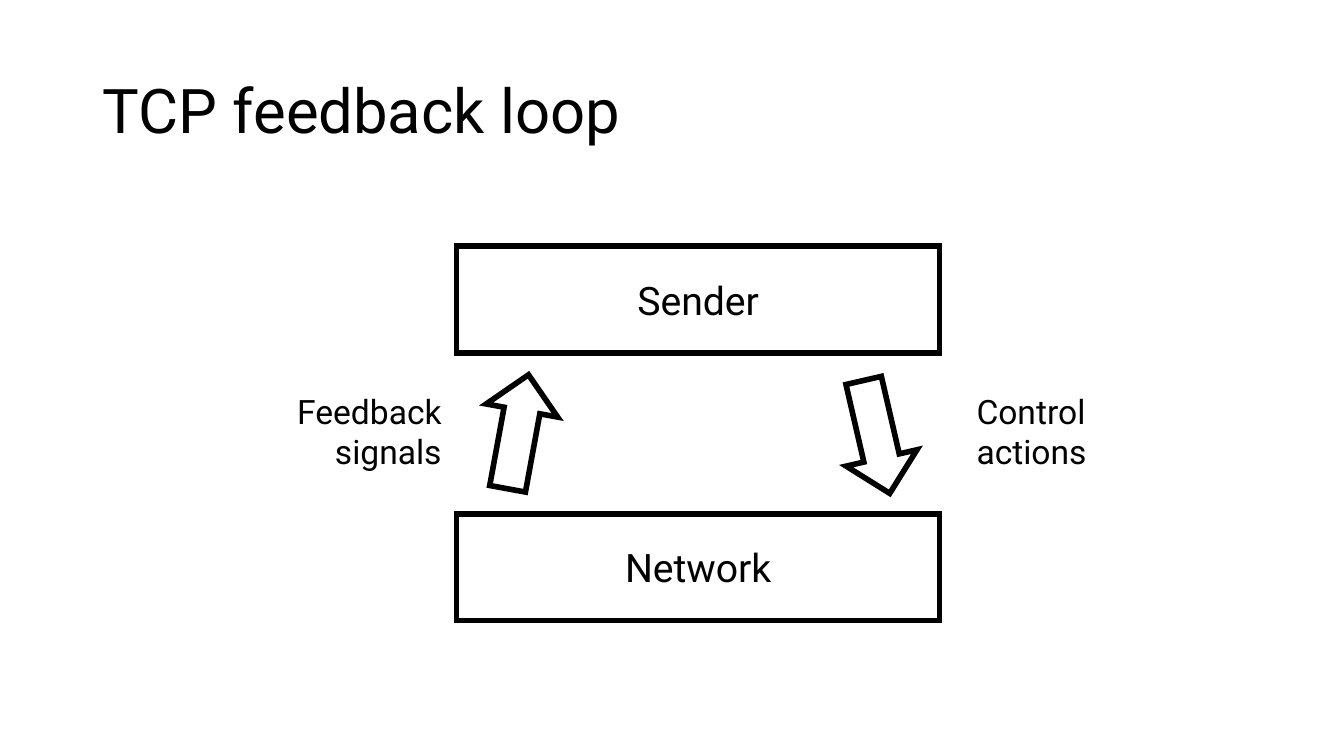
from pptx import Presentation
from pptx.dml.color import RGBColor
from pptx.enum.shapes import MSO_SHAPE
from pptx.enum.text import MSO_ANCHOR, PP_ALIGN
from pptx.oxml.ns import qn
from pptx.util import Cm, Pt
from lxml.etree import SubElement


def color(hex_value):
    return RGBColor.from_string(hex_value)


class Diagram:
    font = "Roboto"
    ink = "000000"
    line_width = 4

    def __init__(self, prs):
        self.s = prs.slides.add_slide(prs.slide_layouts[6])

    def set_text(self, sp, text, size, anchor, **paragraph_format):
        tf = sp.text_frame
        tf.word_wrap = True
        tf.vertical_anchor = anchor
        p = tf.paragraphs[0]
        for name, value in paragraph_format.items():
            setattr(p, name, value)
        r = p.add_run()
        r.text = text
        for name, value in {"name": self.font, "size": Pt(size)}.items():
            setattr(r.font, name, value)
        r.font.color.rgb = color(self.ink)

    def label(self, text, box, size, anchor=MSO_ANCHOR.TOP, **paragraph_format):
        sp = self.s.shapes.add_textbox(*map(Cm, box))
        self.set_text(sp, text, size, anchor, **paragraph_format)

    def outline(self, kind, box):
        sp = self.s.shapes.add_shape(kind, *map(Cm, box))
        sp.shadow.inherit = False
        sp.fill.background()
        sp.line.color.rgb = color(self.ink)
        sp.line.width = Pt(self.line_width)
        # Sharp corners
        ln = sp.element.spPr.find(qn("a:ln"))
        SubElement(ln, qn("a:miter"), lim="800000")
        return sp

    def node(self, text, box):
        sp = self.outline(MSO_SHAPE.RECTANGLE, box)
        self.set_text(sp, text, 28, MSO_ANCHOR.MIDDLE, alignment=PP_ALIGN.CENTER)

    def arrow(self, box, rotation):
        self.outline(MSO_SHAPE.DOWN_ARROW, box).rotation = rotation


def main():
    prs = Presentation()
    prs.slide_width, prs.slide_height = Cm(33.87), Cm(19.05)
    d = Diagram(prs)

    # Title
    d.label("TCP feedback loop", (2.34, 1.02, 29.21, 3.68), 44,
            MSO_ANCHOR.MIDDLE, line_spacing=0.9)

    # Both ends of the loop
    for name, top in (("Sender", 6.2), ("Network", 12.95)):
        d.node(name, (11.51, top, 12.17, 2.69))

    # Arrows between them
    for left, top, rotation in ((12.14, 9.42, 190.4), (21.18, 9.55, 347)):
        d.arrow((left, top, 1.83, 2.92), rotation)

    # Arrow labels
    for text, left, align in (("Feedback signals", 5.77, PP_ALIGN.RIGHT),
                              ("Control actions", 24.36, PP_ALIGN.LEFT)):
        d.label(text, (left, 9.73, 5.61, 2.31), 24, alignment=align)

    prs.save("out.pptx")


if __name__ == "__main__":
    main()
